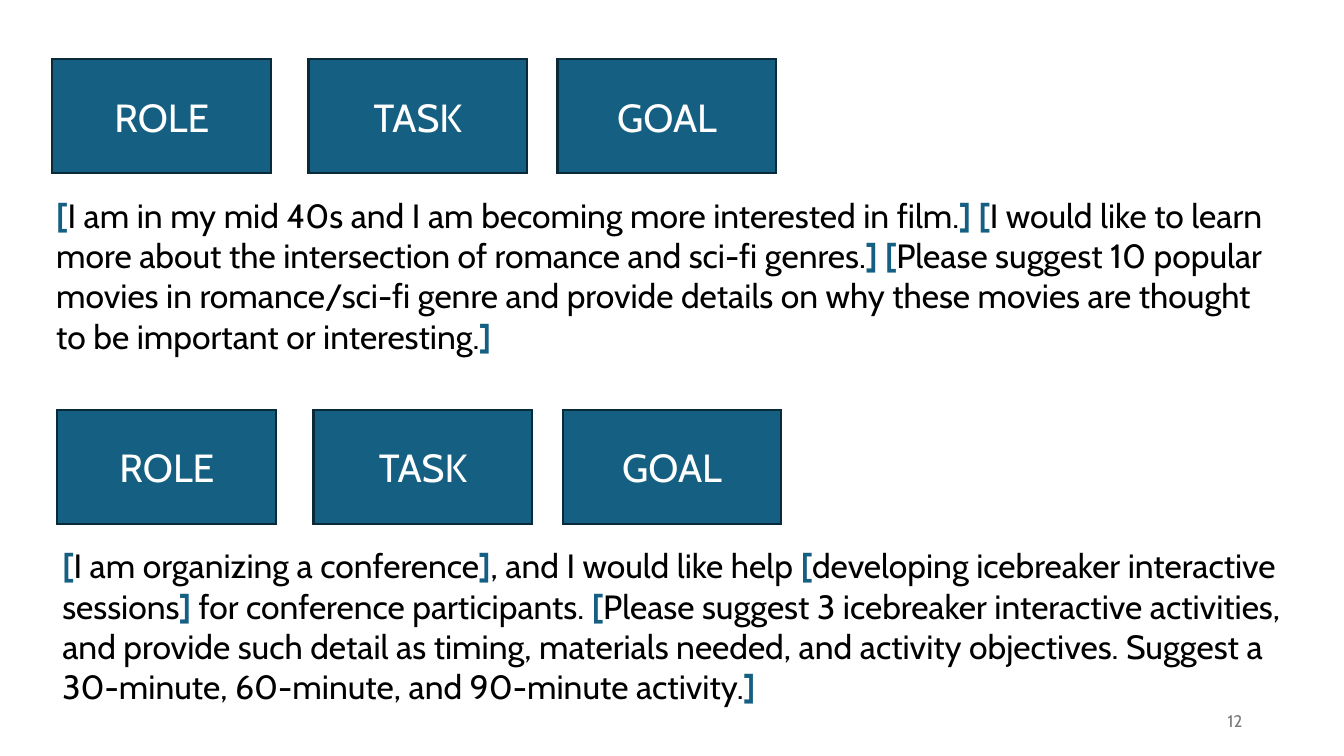
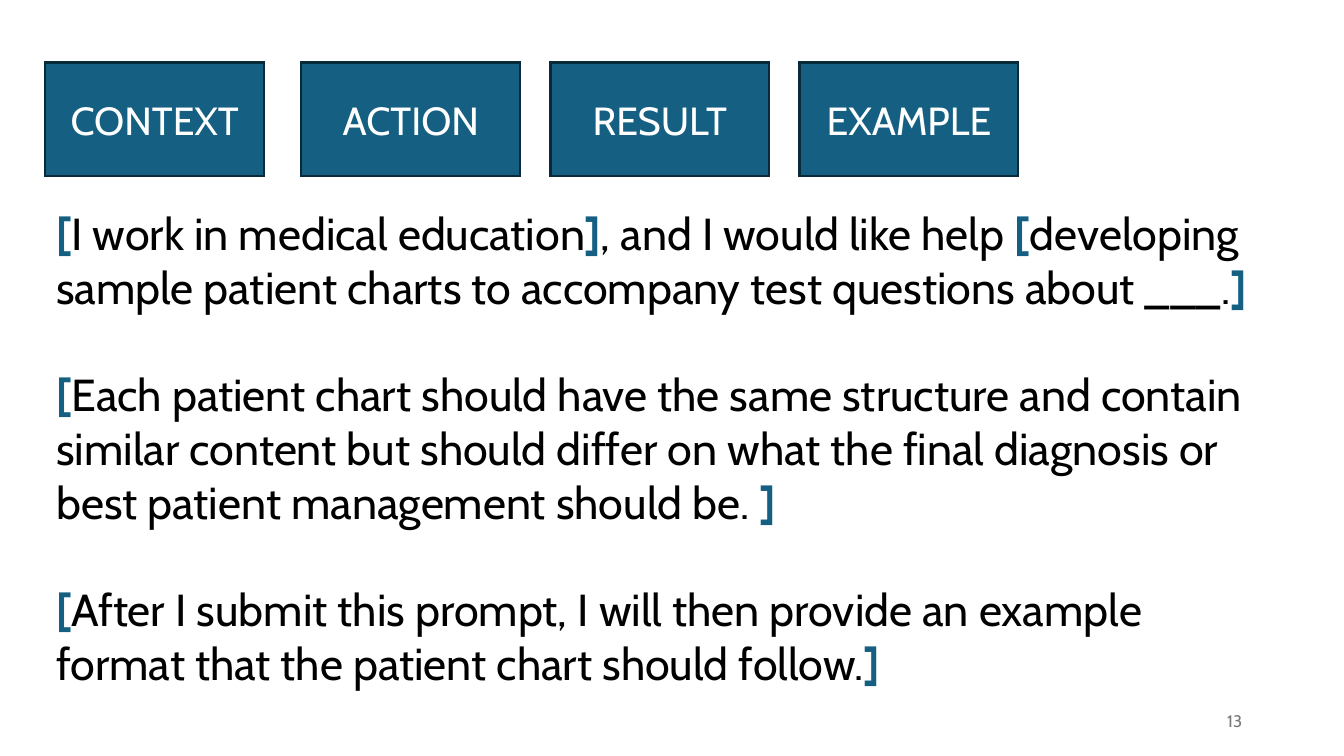
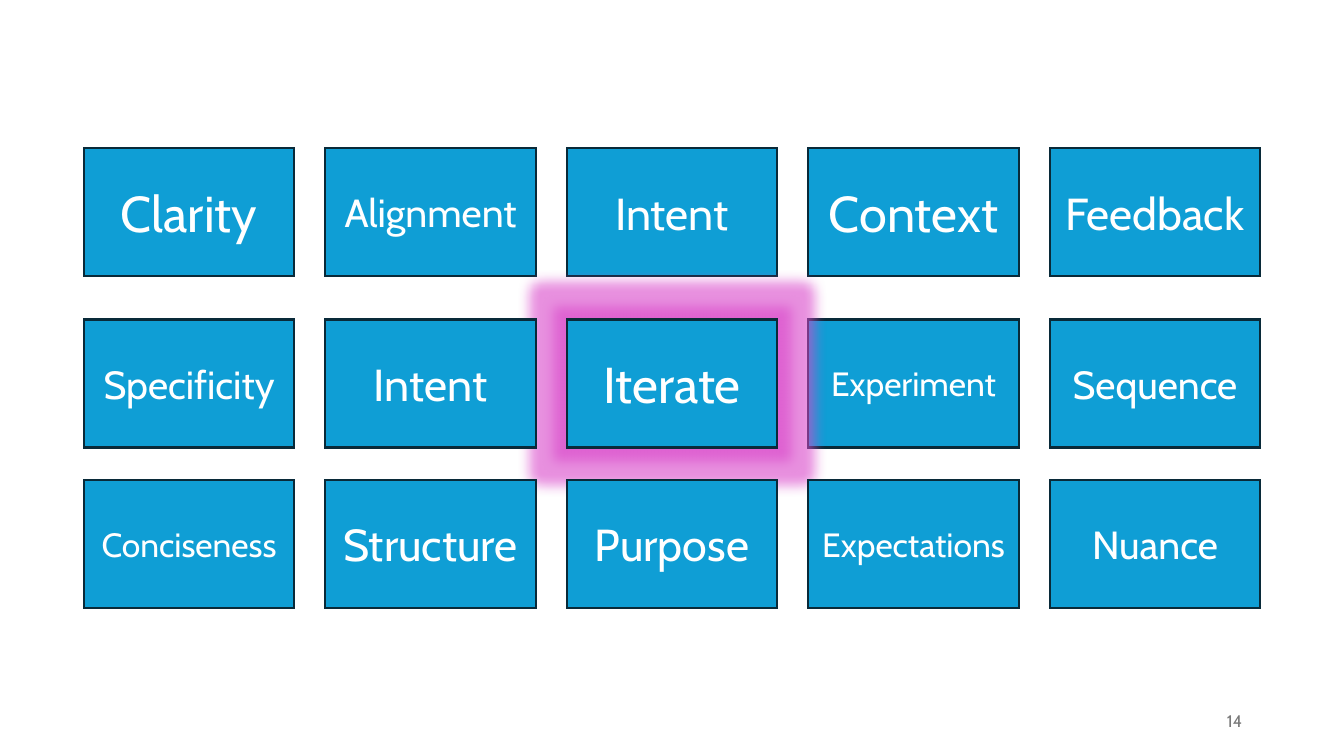
import pptx
import pptx.util
import pptx.dml.color
import pptx.enum.shapes
import pptx.enum.text
from lxml import etree

Inches, Pt = pptx.util.Inches, pptx.util.Pt
ALIGN = pptx.enum.text.PP_ALIGN
MIDDLE = pptx.enum.text.MSO_ANCHOR.MIDDLE
NS = "{http://schemas.openxmlformats.org/drawingml/2006/main}"

FONT = "Cabin"
HUE = {"deep": "156082", "sky": "0F9ED5", "edge": "092A39", "ink": "000000",
       "white": "FFFFFF", "grey": "797979", "glow": "D946CA"}

# In each prompt, "|" parts the bold brackets from the plain words.
FILM = ("[|I am in my mid 40s and I am becoming more interested in film.|] [|"
        "I would like to learn more about the intersection of romance and sci-fi genres.|] [|"
        "Please suggest 10 popular movies in romance/sci-fi genre and provide details on why "
        "these movies are thought to be important or interesting.|]")
EVENT = ("[|I am organizing a conference|]|, and I would like help |[|"
         "developing icebreaker interactive sessions|]| for conference participants. |[|"
         "Please suggest 3 icebreaker interactive activities, and provide such detail as "
         "timing, materials needed, and activity objectives. Suggest a 30-minute, 60-minute, "
         "and 90-minute activity.|]")
CHARTS = (
    "[|I work in medical education|]|, and I would like help |[|"
    "developing sample patient charts to accompany test questions about ___.|]",
    "[|Each patient chart should have the same structure and contain similar content but "
    "should differ on what the final diagnosis or best patient management should be.| ]",
    "[|After I submit this prompt, I will then provide an example format that the patient "
    "chart should follow.|]",
)

RTG = ("ROLE", "TASK", "GOAL")
CARE = ("CONTEXT", "ACTION", "RESULT", "EXAMPLE")
# Per slide: (labels, box left, box top, prompts, text left, text top, text height, size)
PROMPTS = [
    [(RTG, 0.52, 0.59, (FILM,), 0.46, 1.88, 1.72, 24),
     (RTG, 0.57, 4.07, (EVENT,), 0.52, 5.36, 1.72, 24)],
    [(CARE, 0.45, 0.62, CHARTS, 0.46, 1.99, 4.95, 32)],
]
STEPS = (0, 2.54, 5.01, 7.48)

# Per row: top, then (word, size)
WORDS = [
    (1.47, [("Clarity", 36), ("Alignment", 28), ("Intent", 32),
            ("Context", 36), ("Feedback", 32)]),
    (3.17, [("Specificity", 28), ("Intent", 32), ("Iterate", 36),
            ("Experiment", 24), ("Sequence", 28)]),
    (4.76, [("Conciseness", 24), ("Structure", 32), ("Purpose", 32),
            ("Expectations", 24), ("Nuance", 28)]),
]
FIRST, LAST = 0.83, 10.41
FOCUS = "Iterate"


def rgb(name):
    return pptx.dml.color.RGBColor.from_string(HUE[name])


def write(para, text, size, hue, bold=False):
    run = para.add_run()
    run.text = text
    run.font.name = FONT
    run.font.size = Pt(size)
    run.font.bold = bold
    run.font.color.rgb = rgb(hue)


def add_box(slide, spot, text, size, fill):
    box = slide.shapes.add_shape(pptx.enum.shapes.MSO_SHAPE.RECTANGLE, *map(Inches, spot))
    box.shadow.inherit = False
    box.fill.solid()
    box.fill.fore_color.rgb = rgb(fill)
    box.line.color.rgb = rgb("edge")
    box.line.width = Pt(1.5)
    etree.SubElement(box.element.spPr.find(NS + "ln"), NS + "miter", lim="800000")
    frame = box.text_frame
    frame.vertical_anchor = MIDDLE
    frame.word_wrap = True
    para = frame.paragraphs[0]
    para.alignment = ALIGN.CENTER
    write(para, text, size, "white")
    return box


def add_frame(slide, spot):
    frame = slide.shapes.add_textbox(*map(Inches, spot)).text_frame
    frame.word_wrap = True
    return frame


def add_prompt(slide, spot, prompts, size):
    frame = add_frame(slide, spot)
    for i, prompt in enumerate(prompts):
        para = frame.add_paragraph() if i else frame.paragraphs[0]
        if i:
            para.space_before = Pt(size * 1.2)
        for j, part in enumerate(prompt.split("|")):
            mark = j % 2 == 0
            write(para, part, size, "deep" if mark else "ink", mark)


def add_glow(shape, reach):
    fx = shape.element.spPr.find(NS + "effectLst")
    glow = etree.SubElement(fx, NS + "glow", rad=str(Inches(reach)))
    tint = etree.SubElement(glow, NS + "srgbClr", val=HUE["glow"])
    etree.SubElement(tint, NS + "alpha", val="60000")


def add_page(deck, num):
    slide = deck.slides.add_slide(deck.slide_layouts[6])
    frame = add_frame(slide, (9.42, 6.95, 3, 0.4))
    frame.vertical_anchor = MIDDLE
    para = frame.paragraphs[0]
    para.alignment = ALIGN.RIGHT
    write(para, str(num), 12, "grey")
    return slide


def main():
    deck = pptx.Presentation()
    deck.slide_width, deck.slide_height = Inches(13.33), Inches(7.5)

    for num, blocks in enumerate(PROMPTS, 12):
        slide = add_page(deck, num)
        for labels, left, top, prompts, x, y, high, size in blocks:
            for label, step in zip(labels, STEPS):
                add_box(slide, (left + step, top, 2.17, 1.13), label, 28, "deep")
            add_prompt(slide, (x, y, 12.3, high), prompts, size)

    slide = add_page(deck, 14)
    for top, row in WORDS:
        pitch = (LAST - FIRST) / (len(row) - 1)
        # Right to left, so the glow falls over the box on its right only.
        for col, (word, size) in reversed(list(enumerate(row))):
            spot = (FIRST + pitch * col, top, 2.09, 1.27)
            box = add_box(slide, spot, word, size, "sky")
            if word == FOCUS:
                add_glow(box, 0.25)

    deck.save("out.pptx")


if __name__ == "__main__":
    main()
